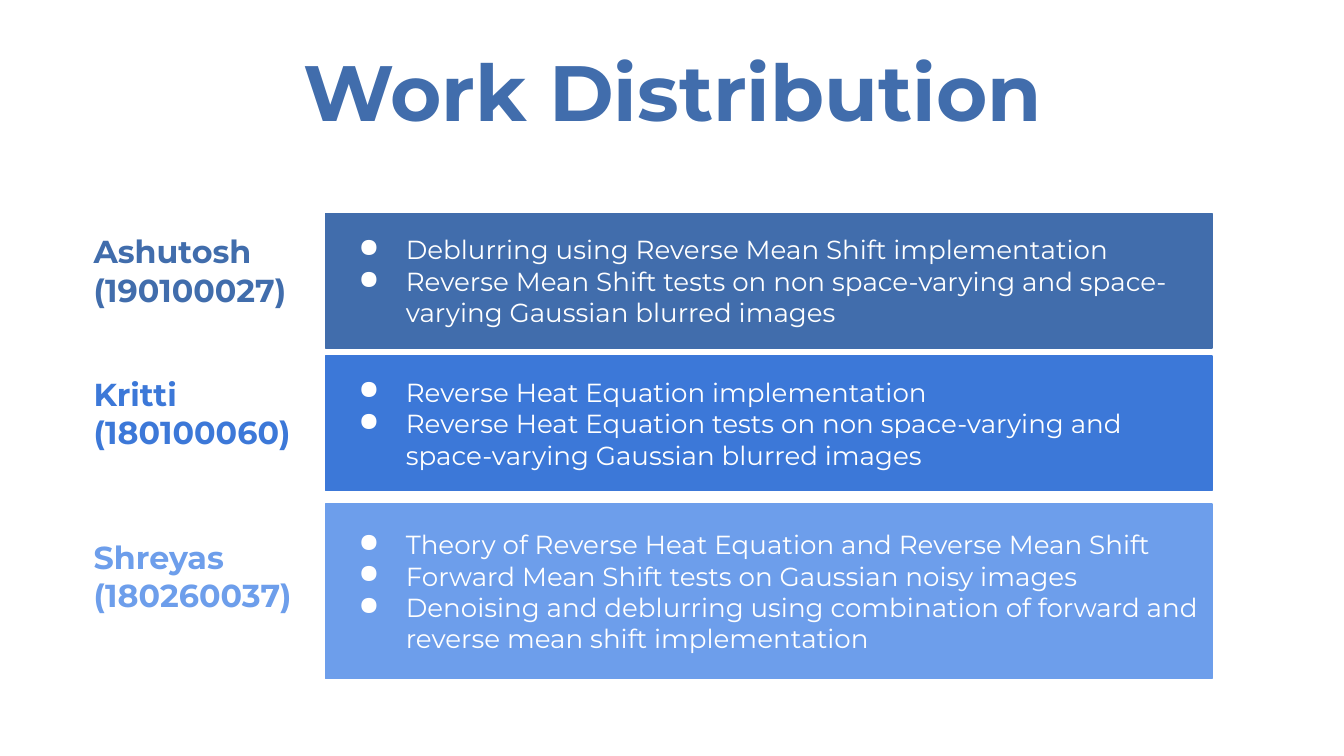
import pptx
import pptx.util
from dataclasses import dataclass
from lxml import etree
from pptx.dml.color import RGBColor
from pptx.enum.shapes import MSO_SHAPE
from pptx.enum.text import MSO_ANCHOR, MSO_AUTO_SIZE, PP_ALIGN
from pptx.oxml.ns import qn
from pptx.util import Cm


@dataclass(frozen=True)
class Theme:
    font: str = "Montserrat"
    dark: str = "416DAC"
    mid: str = "3C78D8"
    light: str = "6D9EEB"
    white: str = "FFFFFF"
    title: int = 42
    name: int = 17
    task: int = 14


THEME = Theme()

# Name, roll number, colour, box top, box height, label drop (cm), tasks
TEAM = [
    ("Ashutosh", "(190100027)", THEME.dark, 4.04, 2.54, 0.1, [
        "Deblurring using Reverse Mean Shift implementation",
        "Reverse Mean Shift tests on non space-varying and space-varying "
        "Gaussian blurred images"]),
    ("Kritti", "(180100060)", THEME.mid, 6.73, 2.54, 0.1, [
        "Reverse Heat Equation implementation",
        "Reverse Heat Equation tests on non space-varying and space-varying "
        "Gaussian blurred images"]),
    ("Shreyas", "(180260037)", THEME.light, 9.53, 3.3, 0.38, [
        "Theory of Reverse Heat Equation and Reverse Mean Shift",
        "Forward Mean Shift tests on Gaussian noisy images",
        "Denoising and deblurring using combination of forward and reverse "
        "mean shift implementation"]),
]


def add_bullet(para, color):
    props = para._p.get_or_add_pPr()
    props.set("marL", str(Cm(1.27)))
    props.set("indent", str(-Cm(0.89)))
    tint = etree.SubElement(props, qn("a:buClr"))
    etree.SubElement(tint, qn("a:srgbClr"), val=color)
    etree.SubElement(props, qn("a:buChar"), char="●")


def write(shape, lines, size, color, bold=False, align=PP_ALIGN.LEFT,
          anchor=MSO_ANCHOR.TOP, bullet=False):
    frame = shape.text_frame
    frame.word_wrap = True
    frame.auto_size = MSO_AUTO_SIZE.NONE
    frame.vertical_anchor = anchor
    frame.margin_left = frame.margin_right = Cm(0.25)
    frame.margin_top = frame.margin_bottom = Cm(0.25)
    frame.text = "\n".join(lines)
    for para in frame.paragraphs:
        para.alignment = align
        if bullet:
            add_bullet(para, color)
        for run in para.runs:
            run.font.name = THEME.font
            run.font.size = pptx.util.Pt(size)
            run.font.bold = bold
            run.font.color.rgb = RGBColor.from_string(color)


def add_title(slide, text):
    title = slide.shapes.title
    title.left, title.top = Cm(4.11), Cm(0.51)
    title.width, title.height = Cm(17.2), Cm(2.34)
    write(title, [text], THEME.title, THEME.dark, bold=True,
          align=PP_ALIGN.CENTER, anchor=MSO_ANCHOR.BOTTOM)


def add_label(slide, lines, color, top):
    label = slide.shapes.add_textbox(Cm(1.52), Cm(top), Cm(5.61), Cm(1.96))
    write(label, lines, THEME.name, color, bold=True)


def add_tasks(slide, tasks, color, top, height):
    box = slide.shapes.add_shape(MSO_SHAPE.RECTANGLE, Cm(6.15), Cm(top),
                                 Cm(16.76), Cm(height))
    box.shadow.inherit = False
    box.fill.solid()
    box.fill.fore_color.rgb = RGBColor.from_string(color)
    box.line.color.rgb = RGBColor.from_string(color)
    box.line.width = pptx.util.Pt(0.75)
    write(box, tasks, THEME.task, THEME.white, anchor=MSO_ANCHOR.MIDDLE,
          bullet=True)


def main():
    deck = pptx.Presentation()
    deck.slide_width, deck.slide_height = Cm(25.4), Cm(14.29)
    slide = deck.slides.add_slide(deck.slide_layouts[5])

    add_title(slide, "Work Distribution")

    # Names on the left, behind the boxes
    for name, roll, color, top, _, drop, _ in TEAM:
        add_label(slide, [name, roll], color, top + drop)

    # Task boxes on the right
    for _, _, color, top, height, _, tasks in TEAM:
        add_tasks(slide, tasks, color, top, height)

    deck.save("out.pptx")


if __name__ == "__main__":
    main()
